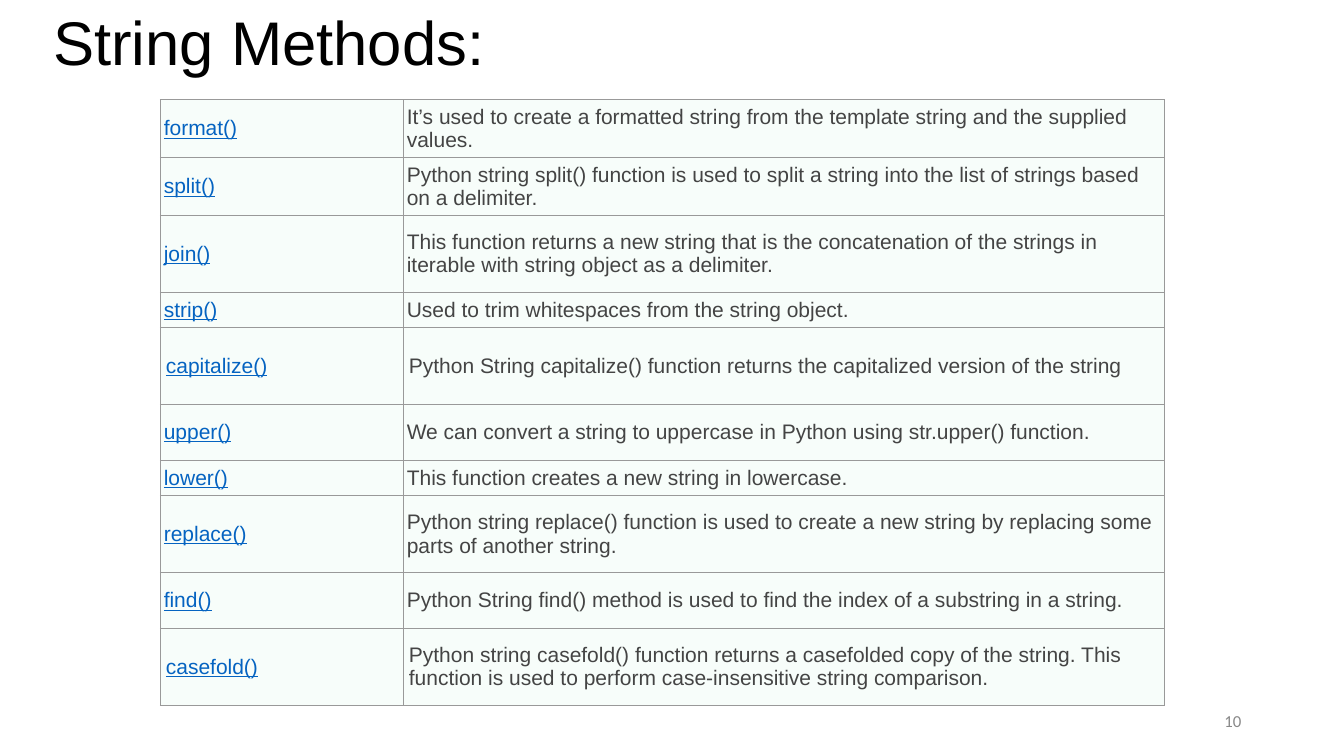
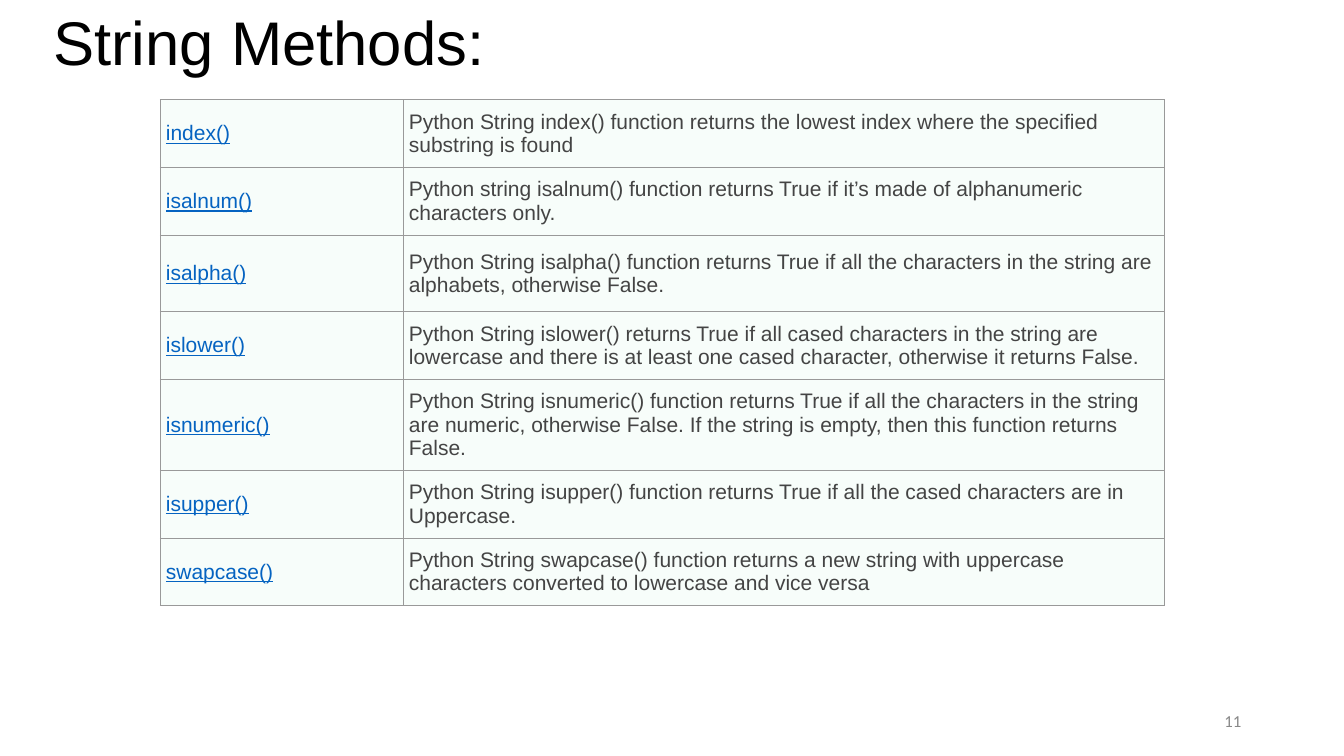
from dataclasses import dataclass

from lxml.etree import SubElement
from pptx import Presentation
from pptx.dml.color import RGBColor
from pptx.enum.text import MSO_ANCHOR, PP_ALIGN
from pptx.oxml.ns import qn
from pptx.slide import Slide
from pptx.table import _Cell
from pptx.util import Pt


# Shared look
@dataclass(frozen=True)
class Theme:
    heading_font: str = "Arial"
    number_font: str = "Calibri"
    title_size: float = 44
    table_size: float = 15
    number_size: float = 12
    title_color: str = "000000"
    link_color: str = "0563C1"
    body_color: str = "444444"
    number_color: str = "888888"
    cell_color: str = "F7FDFA"
    border_color: str = "999999"
    border_width: float = 0.75


@dataclass(frozen=True)
class Box:
    left: float
    top: float
    width: float
    height: float


@dataclass(frozen=True)
class Padding:
    side: float
    end: float


@dataclass(frozen=True)
class Method:
    name: str
    description: str
    height: float
    padding: Padding


@dataclass(frozen=True)
class MethodSlide:
    number: int
    methods: tuple[Method, ...]


THEME = Theme()
SLIDE_WIDTH, SLIDE_HEIGHT = 960, 540
TITLE = "String Methods:"
TITLE_BOX = Box(31, 2.2, 828, 61.2)
NUMBER_BOX = Box(677.8, 500.4, 216, 28.8)
TABLE_LEFT, TABLE_TOP = 114.5, 71.2
COLUMN_WIDTHS = (173.6, 543.6)
TIGHT, ROOMY = Padding(2.5, 2.5), Padding(4, 5)
LOW, MEDIUM, SNUG, DOUBLE, HIGH, TRIPLE = 25.4, 40.2, 41.4, 48.4, 54.6, 65

# Content
SLIDES = (
    MethodSlide(10, (
        Method("format()", "It’s used to create a formatted string from the template string "
               "and the supplied values.", SNUG, TIGHT),
        Method("split()", "Python string split() function is used to split a string into the "
               "list of strings based on a delimiter.", SNUG, TIGHT),
        Method("join()", "This function returns a new string that is the concatenation of the "
               "strings in iterable with string object as a delimiter.", HIGH, TIGHT),
        Method("strip()", "Used to trim whitespaces from the string object.", LOW, TIGHT),
        Method("capitalize()", "Python String capitalize() function returns the capitalized "
               "version of the string", HIGH, ROOMY),
        Method("upper()", "We can convert a string to uppercase in Python using str.upper() "
               "function.", MEDIUM, TIGHT),
        Method("lower()", "This function creates a new string in lowercase.", LOW, TIGHT),
        Method("replace()", "Python string replace() function is used to create a new string "
               "by replacing some parts of another string.", HIGH, TIGHT),
        Method("find()", "Python String find() method is used to find the index of a substring "
               "in a string.", MEDIUM, TIGHT),
        Method("casefold()", "Python string casefold() function returns a casefolded copy of "
               "the string. This function is used to perform case-insensitive string "
               "comparison.", HIGH, ROOMY),
    )),
    MethodSlide(11, (
        Method("index()", "Python String index() function returns the lowest index where the "
               "specified substring is found", DOUBLE, ROOMY),
        Method("isalnum()", "Python string isalnum() function returns True if it’s made of "
               "alphanumeric characters only.", DOUBLE, ROOMY),
        Method("isalpha()", "Python String isalpha() function returns True if all the "
               "characters in the string are alphabets, otherwise False.", HIGH, ROOMY),
        Method("islower()", "Python String islower() returns True if all cased characters in "
               "the string are lowercase and there is at least one cased character, otherwise "
               "it returns False.", DOUBLE, ROOMY),
        Method("isnumeric()", "Python String isnumeric() function returns True if all the "
               "characters in the string are numeric, otherwise False. If the string is empty, "
               "then this function returns False.", TRIPLE, ROOMY),
        Method("isupper()", "Python String isupper() function returns True if all the cased "
               "characters are in Uppercase.", DOUBLE, ROOMY),
        Method("swapcase()", "Python String swapcase() function returns a new string with "
               "uppercase characters converted to lowercase and vice versa", DOUBLE, ROOMY),
    )),
)


# Text
def add_text(slide: Slide, box: Box, text: str, font_name: str, size: float, color: str,
             alignment: PP_ALIGN = PP_ALIGN.LEFT, line_spacing: float = 1.0) -> None:
    shape = slide.shapes.add_textbox(Pt(box.left), Pt(box.top), Pt(box.width), Pt(box.height))
    frame = shape.text_frame
    frame.word_wrap = True
    frame.vertical_anchor = MSO_ANCHOR.MIDDLE
    paragraph = frame.paragraphs[0]
    paragraph.text = text
    paragraph.alignment = alignment
    paragraph.line_spacing = line_spacing
    paragraph.font.name = font_name
    paragraph.font.size = Pt(size)
    paragraph.font.color.rgb = RGBColor.from_string(color)


# Table cells
def add_borders(cell: _Cell) -> None:
    properties = cell._tc.get_or_add_tcPr()
    for position, side in enumerate(("a:lnL", "a:lnR", "a:lnT", "a:lnB")):
        line = SubElement(properties, qn(side), w=str(Pt(THEME.border_width)))
        fill = SubElement(line, qn("a:solidFill"))
        SubElement(fill, qn("a:srgbClr"), val=THEME.border_color)
        properties.insert(position, line)


def fill_cell(cell: _Cell, text: str, padding: Padding, color: str, underline: bool) -> None:
    cell.margin_left = cell.margin_right = Pt(padding.side)
    cell.margin_top = cell.margin_bottom = Pt(padding.end)
    cell.vertical_anchor = MSO_ANCHOR.MIDDLE
    cell.fill.solid()
    cell.fill.fore_color.rgb = RGBColor.from_string(THEME.cell_color)
    add_borders(cell)
    paragraph = cell.text_frame.paragraphs[0]
    paragraph.text = text
    paragraph.font.name = THEME.heading_font
    paragraph.font.size = Pt(THEME.table_size)
    paragraph.font.color.rgb = RGBColor.from_string(color)
    paragraph.font.underline = underline


def add_method_table(slide: Slide, methods: tuple[Method, ...]) -> None:
    height = sum(method.height for method in methods)
    table = slide.shapes.add_table(len(methods), len(COLUMN_WIDTHS), Pt(TABLE_LEFT),
                                   Pt(TABLE_TOP), Pt(sum(COLUMN_WIDTHS)), Pt(height)).table
    table.first_row = table.horz_banding = False
    for column, width in zip(table.columns, COLUMN_WIDTHS):
        column.width = Pt(width)
    for row, method in zip(table.rows, methods):
        row.height = Pt(method.height)
        name_cell, description_cell = row.cells
        fill_cell(name_cell, method.name, method.padding, THEME.link_color, True)
        fill_cell(description_cell, method.description, method.padding, THEME.body_color, False)


# Slides
def add_method_slide(presentation: Presentation, content: MethodSlide) -> None:
    slide = presentation.slides.add_slide(presentation.slide_layouts[6])
    add_text(slide, NUMBER_BOX, str(content.number), THEME.number_font, THEME.number_size,
             THEME.number_color, alignment=PP_ALIGN.RIGHT)
    add_text(slide, TITLE_BOX, TITLE, THEME.heading_font, THEME.title_size,
             THEME.title_color, line_spacing=0.9)
    add_method_table(slide, content.methods)


def main() -> None:
    presentation = Presentation()
    presentation.slide_width = Pt(SLIDE_WIDTH)
    presentation.slide_height = Pt(SLIDE_HEIGHT)
    for content in SLIDES:
        add_method_slide(presentation, content)
    presentation.save("out.pptx")


if __name__ == "__main__":
    main()
